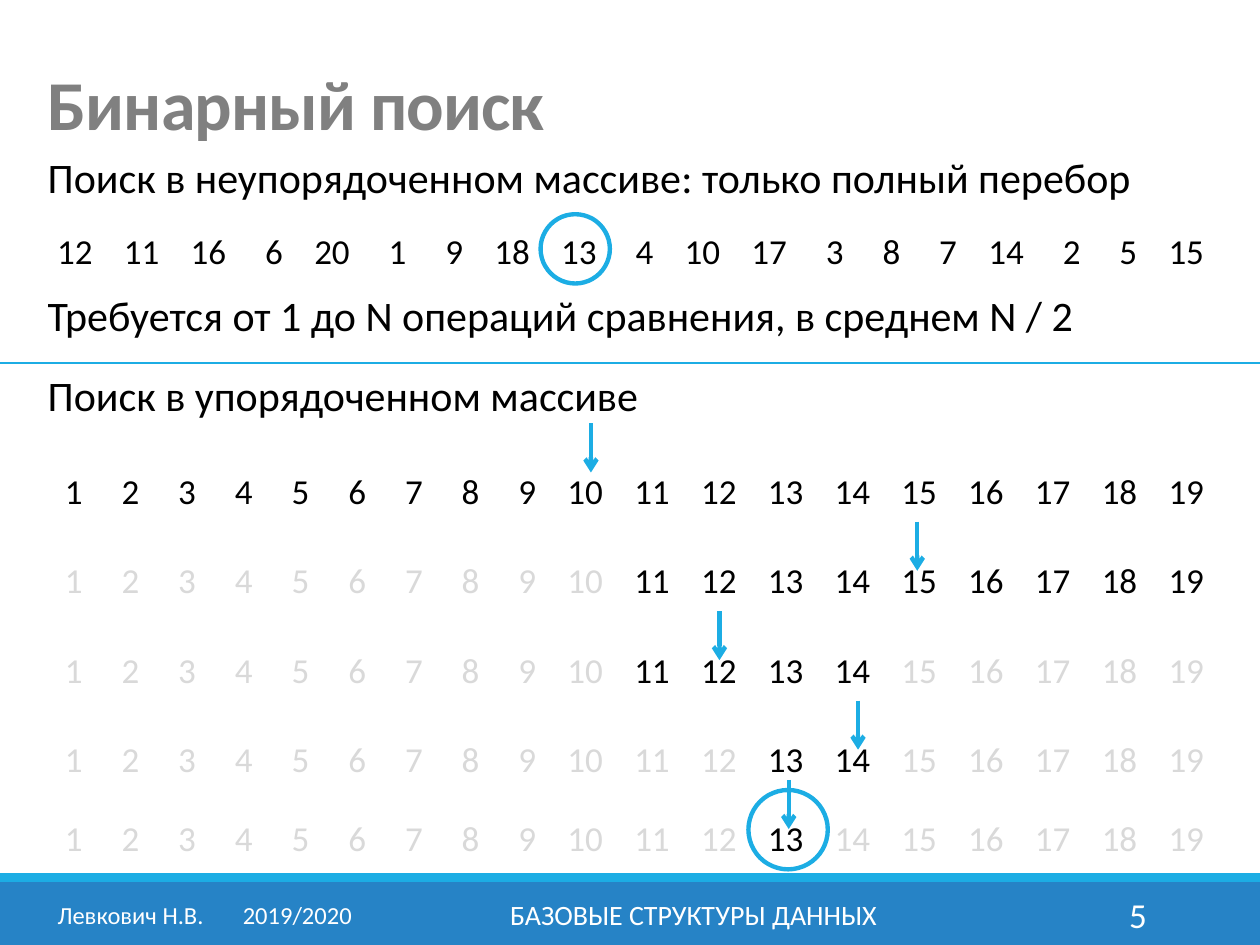
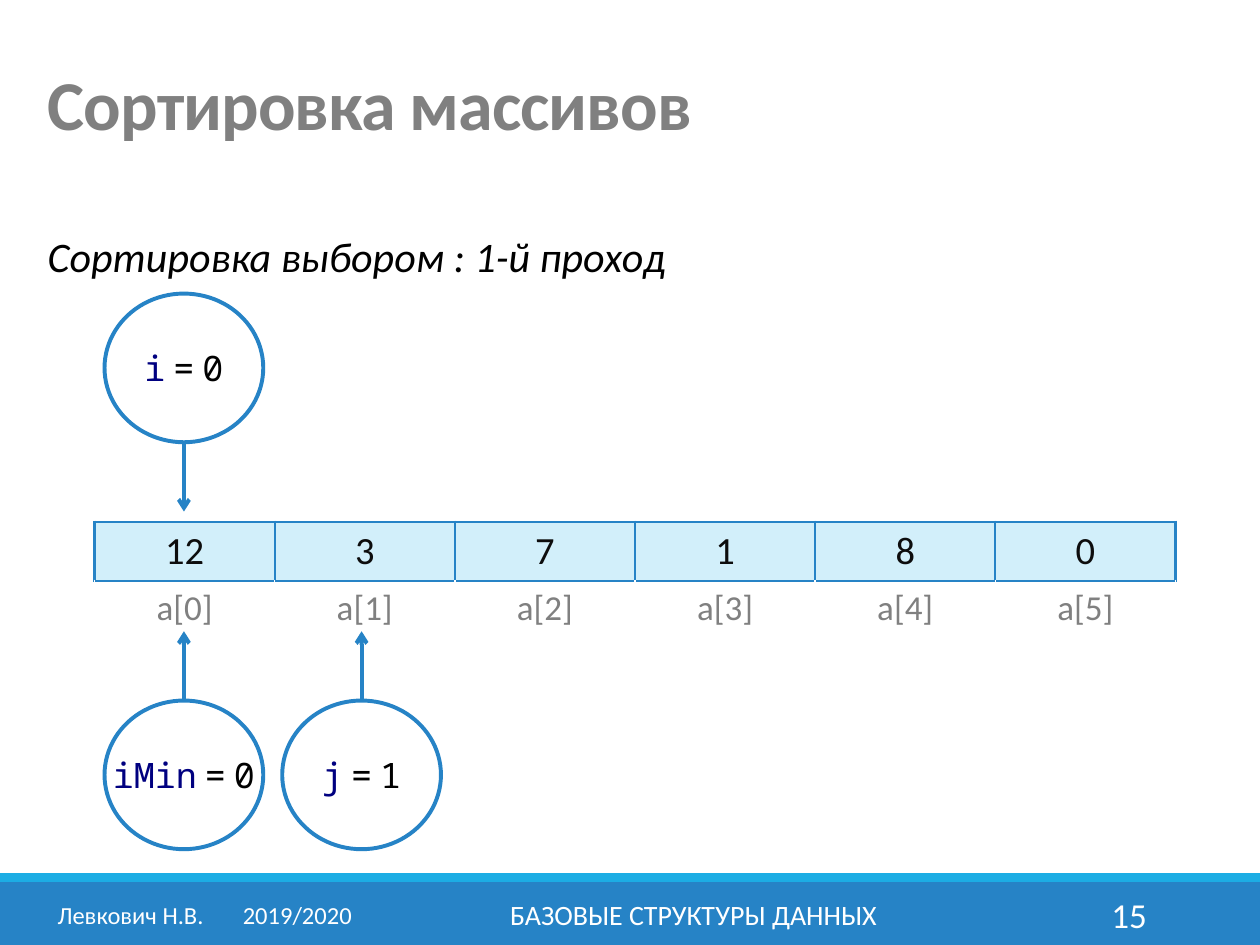
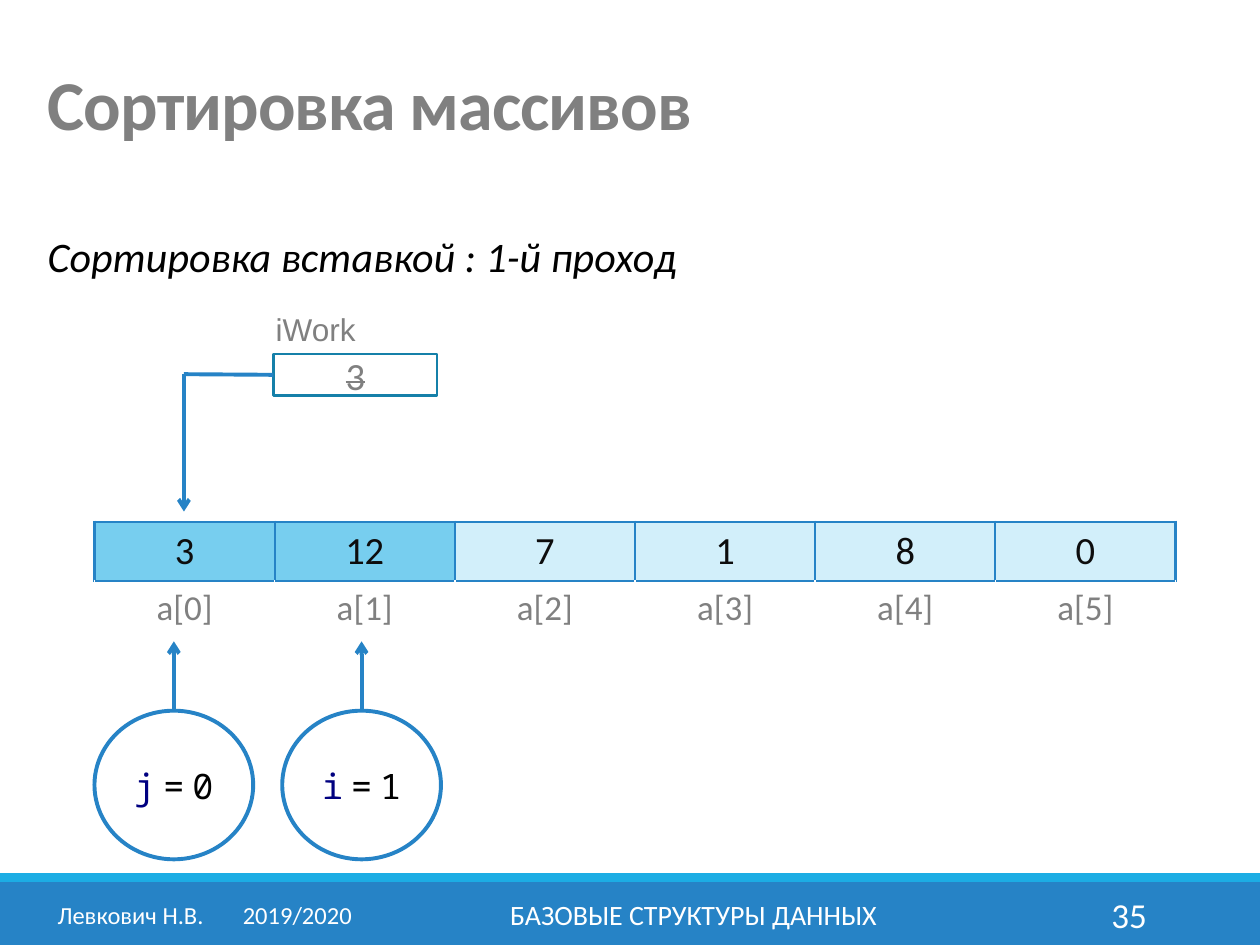
from dataclasses import dataclass

from lxml import etree
from pptx import Presentation
from pptx import util as u
from pptx.dml.color import RGBColor
from pptx.enum import shapes, text
from pptx.oxml.ns import qn

ALIGN = text.PP_ALIGN
MIDDLE = text.MSO_ANCHOR.MIDDLE
OVAL = shapes.MSO_SHAPE.OVAL
RECTANGLE = shapes.MSO_SHAPE.RECTANGLE


@dataclass(frozen=True)
class Theme:
    blue: str = "2683C6"
    cyan: str = "1CADE4"
    frame: str = "1580A9"
    cell: str = "D2EFFA"
    cell_done: str = "77CEEF"
    white: str = "FFFFFF"
    black: str = "000000"
    ink: str = "0D0D0D"
    grey: str = "808080"
    faded: str = "D9D9D9"
    variable: str = "000080"
    font: str = "Calibri"
    label_font: str = "Arial"
    code_font: str = "Noto Sans Mono"
    title: int = 40
    body: int = 24
    value: int = 22
    number: int = 20
    label: int = 18
    footer: int = 16
    author: int = 14


THEME = Theme()


@dataclass(frozen=True)
class Box:
    left: float
    top: float
    width: float
    height: float

    @property
    def right(self):
        return self.left + self.width

    @property
    def bottom(self):
        return self.top + self.height

    @property
    def center(self):
        return self.left + self.width / 2

    def inches(self):
        return [u.Inches(n) for n in (self.left, self.top, self.width, self.height)]


TITLE_BOX = Box(0.28, 0.29, 9.45, 1.15)
FOOTER_BOX = Box(0, 6.93, 10, 0.57)
ARRAY_BOX = Box(0.75, 4.14, 8.58, 0.9)


def add_run(paragraph, words, size, color=THEME.black, font=THEME.font):
    run = paragraph.add_run()
    run.text = words
    run.font.size = u.Pt(size)
    run.font.name = font
    run.font.color.rgb = RGBColor.from_string(color)
    return run


def add_tabs(paragraph, positions, kind):
    tab_list = etree.SubElement(paragraph._p.get_or_add_pPr(), qn("a:tabLst"))
    for position in positions:
        etree.SubElement(tab_list, qn("a:tab"), pos=str(u.Inches(position)), algn=kind)


def set_margins(frame, size):
    frame.margin_left = frame.margin_right = u.Inches(size)
    frame.margin_top = frame.margin_bottom = u.Inches(size)


def add_text_frame(slide, box, align=ALIGN.LEFT, anchor=text.MSO_ANCHOR.TOP):
    frame = slide.shapes.add_textbox(*box.inches()).text_frame
    frame.word_wrap = True
    frame.vertical_anchor = anchor
    frame.paragraphs[0].alignment = align
    return frame


def add_label(slide, box, words, size=THEME.body, color=THEME.black,
              font=THEME.font, **placing):
    paragraph = add_text_frame(slide, box, **placing).paragraphs[0]
    return add_run(paragraph, words, size, color, font)


def add_figure(slide, kind, box, fill=None, line=None, width=2.25):
    shape = slide.shapes.add_shape(kind, *box.inches())
    shape.shadow.inherit = False
    if fill:
        shape.fill.solid()
        shape.fill.fore_color.rgb = RGBColor.from_string(fill)
    else:
        shape.fill.background()
    if line:
        shape.line.color.rgb = RGBColor.from_string(line)
        shape.line.width = u.Pt(width)
    else:
        shape.line.fill.background()
    return shape


def add_line(slide, start, end, color=THEME.blue, width=2.25, arrow=False):
    ends = [u.Inches(n) for n in (*start, *end)]
    line = slide.shapes.add_connector(shapes.MSO_CONNECTOR.STRAIGHT, *ends)
    line.line.color.rgb = RGBColor.from_string(color)
    line.line.width = u.Pt(width)
    if arrow:
        etree.SubElement(line.line._get_or_add_ln(), qn("a:tailEnd"), type="arrow")
    etree.SubElement(line._element.spPr, qn("a:effectLst"))
    return line


def add_title(slide, box, words):
    title = slide.shapes.title
    title.left, title.top, title.width, title.height = box.inches()
    frame = title.text_frame
    frame.word_wrap = True
    frame.auto_size = text.MSO_AUTO_SIZE.NONE
    frame.vertical_anchor = MIDDLE
    paragraph = frame.paragraphs[0]
    paragraph.alignment = ALIGN.LEFT
    paragraph.line_spacing = 0.85
    run = add_run(paragraph, words, THEME.title, THEME.grey)
    run.font.bold = True
    run.font._element.set("spc", "-50")


def add_footer(slide, box, number):
    strip = 0.07
    add_figure(slide, RECTANGLE, Box(box.left, box.top + strip, box.width,
                                     box.height - strip), THEME.blue)
    add_figure(slide, RECTANGLE, Box(box.left, box.top, box.width, strip), THEME.cyan)

    def part(left, width):
        return Box(box.left + left, box.top + 0.13, width, 0.4)

    add_label(slide, part(3.02, 4.97), "БАЗОВЫЕ СТРУКТУРЫ ДАННЫХ", THEME.footer,
              THEME.white, align=ALIGN.CENTER, anchor=MIDDLE)
    add_label(slide, part(8.12, 1.08), str(number), THEME.number,
              THEME.white, align=ALIGN.RIGHT, anchor=MIDDLE)
    author = add_text_frame(slide, part(0.32, 2.61), ALIGN.CENTER, MIDDLE).paragraphs[0]
    add_tabs(author, [1.47], "l")
    add_run(author, "Левкович Н.В.\t2019/2020", THEME.author, THEME.white)


def start_slide(presentation, title, number):
    slide = presentation.slides.add_slide(presentation.slide_layouts[5])
    add_title(slide, TITLE_BOX, title)
    add_footer(slide, FOOTER_BOX, number)
    return slide


def number_centers(numbers, width):
    """Centres of a centred row whose one-digit numbers take less room."""
    digit, pad, gap = 0.14, 0.06, 0.25
    spans = [pad + digit if n < 10 else 2 * digit for n in numbers]
    left = (width - sum(spans) - gap * (len(numbers) - 1)) / 2
    centers = []
    for n, span in zip(numbers, spans):
        centers.append(left + span - (digit / 2 if n < 10 else digit))
        left += span + gap
    return centers


def add_number_row(slide, box, numbers, active):
    frame = add_text_frame(slide, box, anchor=MIDDLE)
    set_margins(frame, 0)
    paragraph = frame.paragraphs[0]
    add_tabs(paragraph, number_centers(numbers, box.width), "ctr")
    for n in numbers:
        add_run(paragraph, f"\t{n}", THEME.number,
                THEME.black if n in active else THEME.faded)


def add_unordered_search(slide, box):
    def line_box(left, top, width):
        return Box(box.left + left, box.top + top, width, 0.5)

    add_label(slide, line_box(0, 0, 5.28), "Поиск в неупорядоченном массиве")
    add_label(slide, line_box(5.03, 0, 3.86), ": только полный перебор")
    numbers = [12, 11, 16, 6, 20, 1, 9, 18, 13, 4, 10, 17, 3, 8, 7, 14, 2, 5, 15]
    add_number_row(slide, Box(box.left, box.top + 0.63, box.width, 0.41),
                   numbers, numbers)
    add_figure(slide, OVAL, Box(box.left + 4.01, box.top + 0.55, 0.55, 0.55),
               line=THEME.cyan, width=2.5)
    add_label(slide, line_box(0, 1.1, 9.21),
              "Требуется от 1 до N операций сравнения, в среднем N / 2")


def add_ordered_search(slide, box):
    add_label(slide, Box(box.left, box.top, 7.09, 0.5), "Поиск в упорядоченном массиве")
    numbers = range(1, 20)
    # row top, first and last number still searched, arrow left and top
    steps = [(0.79, 1, 19, 4.41, 0.48),
             (1.5, 11, 19, 7.0, 1.26),
             (2.21, 11, 14, 5.43, 1.97),
             (2.92, 13, 14, 6.53, 2.68),
             (3.55, 13, 13, 5.98, 3.31)]
    for row_top, first, last, arrow_left, arrow_top in steps:
        add_number_row(slide, Box(box.left, box.top + row_top, box.width, 0.44),
                       numbers, range(first, last + 1))
        x, y = box.left + arrow_left, box.top + arrow_top
        add_line(slide, (x, y), (x, y + 0.39), THEME.cyan, 2.5, arrow=True)
    add_figure(slide, OVAL, Box(box.left + 5.66, box.top + 3.39, 0.63, 0.63),
               line=THEME.cyan, width=2.5)


def add_subtitle(slide, words):
    add_label(slide, Box(0.28, 1.78, 9.21, 0.5), words).font.italic = True


def format_cell(cell, fill, borders):
    cell.fill.solid()
    cell.fill.fore_color.rgb = RGBColor.from_string(fill)
    properties = cell._tc.get_or_add_tcPr()
    for index, (side, (color, width)) in enumerate(borders.items()):
        line = etree.Element(qn(f"a:ln{side}"), w=str(u.Pt(width)))
        solid = etree.SubElement(line, qn("a:solidFill"))
        etree.SubElement(solid, qn("a:srgbClr"), val=color)
        properties.insert(index, line)


def add_array_table(slide, box, values, done=0):
    table = slide.shapes.add_table(2, len(values), *box.inches()).table
    for column in table.columns:
        column.width = u.Inches(box.width / len(values))
    for row, height in zip(table.rows, (0.47, box.height - 0.47)):
        row.height = u.Inches(height)
    strong, hidden = (THEME.blue, 1.5), (THEME.white, 1)
    value_borders = dict.fromkeys("LRTB", strong)
    index_borders = dict.fromkeys("LRTB", hidden) | {"T": strong}
    for i, value in enumerate(values):
        fill = THEME.cell_done if i < done else THEME.cell
        rows = [(str(value), THEME.value, THEME.ink, fill, value_borders),
                (f"a[{i}]", THEME.number, THEME.grey, THEME.white, index_borders)]
        for r, (words, size, color, background, borders) in enumerate(rows):
            cell = table.cell(r, i)
            format_cell(cell, background, borders)
            paragraph = cell.text_frame.paragraphs[0]
            paragraph.alignment = ALIGN.CENTER
            add_run(paragraph, words, size, color)
        table.cell(1, i).vertical_anchor = MIDDLE


def add_index_pointer(slide, left, top, name, value, down=False):
    """Circle holding an index variable, with an arrow towards the array."""
    box = Box(left, top, 1.26, 1.18)
    reach = 0.55
    start, tip = (box.bottom, box.bottom + reach) if down else (box.top, box.top - reach)
    add_line(slide, (box.center, start), (box.center, tip), arrow=True)
    frame = add_figure(slide, OVAL, box, line=THEME.blue).text_frame
    set_margins(frame, 0)
    frame.word_wrap = False
    frame.vertical_anchor = MIDDLE
    paragraph = frame.paragraphs[0]
    paragraph.alignment = ALIGN.CENTER
    add_run(paragraph, name, THEME.number, THEME.variable, THEME.code_font)
    for sign in ("=", str(value)):
        add_run(paragraph, " ", THEME.number)
        add_run(paragraph, sign, THEME.number, font=THEME.code_font)


def add_work_variable(slide, box, value, target):
    """Named cell whose struck-out value moves to the target point."""
    add_label(slide, Box(box.left - 0.08, box.top - 0.4, 0.87, 0.4), "iWork",
              THEME.label, THEME.grey, THEME.label_font)
    cell = add_figure(slide, RECTANGLE, box, line=THEME.frame, width=1.5)
    frame = cell.text_frame
    frame.vertical_anchor = MIDDLE
    frame.paragraphs[0].alignment = ALIGN.CENTER
    run = add_run(frame.paragraphs[0], str(value), THEME.value, THEME.grey)
    run.font._element.set("strike", "sngStrike")
    corner = (target[0], box.top + 0.16)
    add_line(slide, (box.left, corner[1]), corner).begin_connect(cell, 1)
    add_line(slide, corner, target, arrow=True)


def build_binary_search(presentation):
    slide = start_slide(presentation, "Бинарный поиск", 5)
    divider = 2.88
    add_unordered_search(slide, Box(0.28, 1.15, 9.45, 1.6))
    add_line(slide, (0, divider), (10, divider), THEME.cyan, 1.5)
    add_ordered_search(slide, Box(0.28, divider, 9.45, 4.02))


def build_selection_sort(presentation):
    slide = start_slide(presentation, "Сортировка массивов", 15)
    add_subtitle(slide, "Сортировка выбором : 1-й проход")
    add_array_table(slide, ARRAY_BOX, [12, 3, 7, 1, 8, 0])
    add_index_pointer(slide, 0.83, 2.33, "i", 0, down=True)
    add_index_pointer(slide, 0.83, 5.56, "iMin", 0)
    add_index_pointer(slide, 2.24, 5.56, "j", 1)


def build_insertion_sort(presentation):
    slide = start_slide(presentation, "Сортировка массивов", 35)
    add_subtitle(slide, "Сортировка вставкой : 1-й проход")
    add_array_table(slide, ARRAY_BOX, [3, 12, 7, 1, 8, 0], done=2)
    add_work_variable(slide, Box(2.17, 2.81, 1.3, 0.33), 3, (1.46, 4.06))
    add_index_pointer(slide, 0.75, 5.64, "j", 0)
    add_index_pointer(slide, 2.24, 5.64, "i", 1)


def main():
    presentation = Presentation()
    presentation.slide_width = u.Inches(10)
    presentation.slide_height = u.Inches(7.5)
    build_binary_search(presentation)
    build_selection_sort(presentation)
    build_insertion_sort(presentation)
    presentation.save("out.pptx")


if __name__ == "__main__":
    main()
